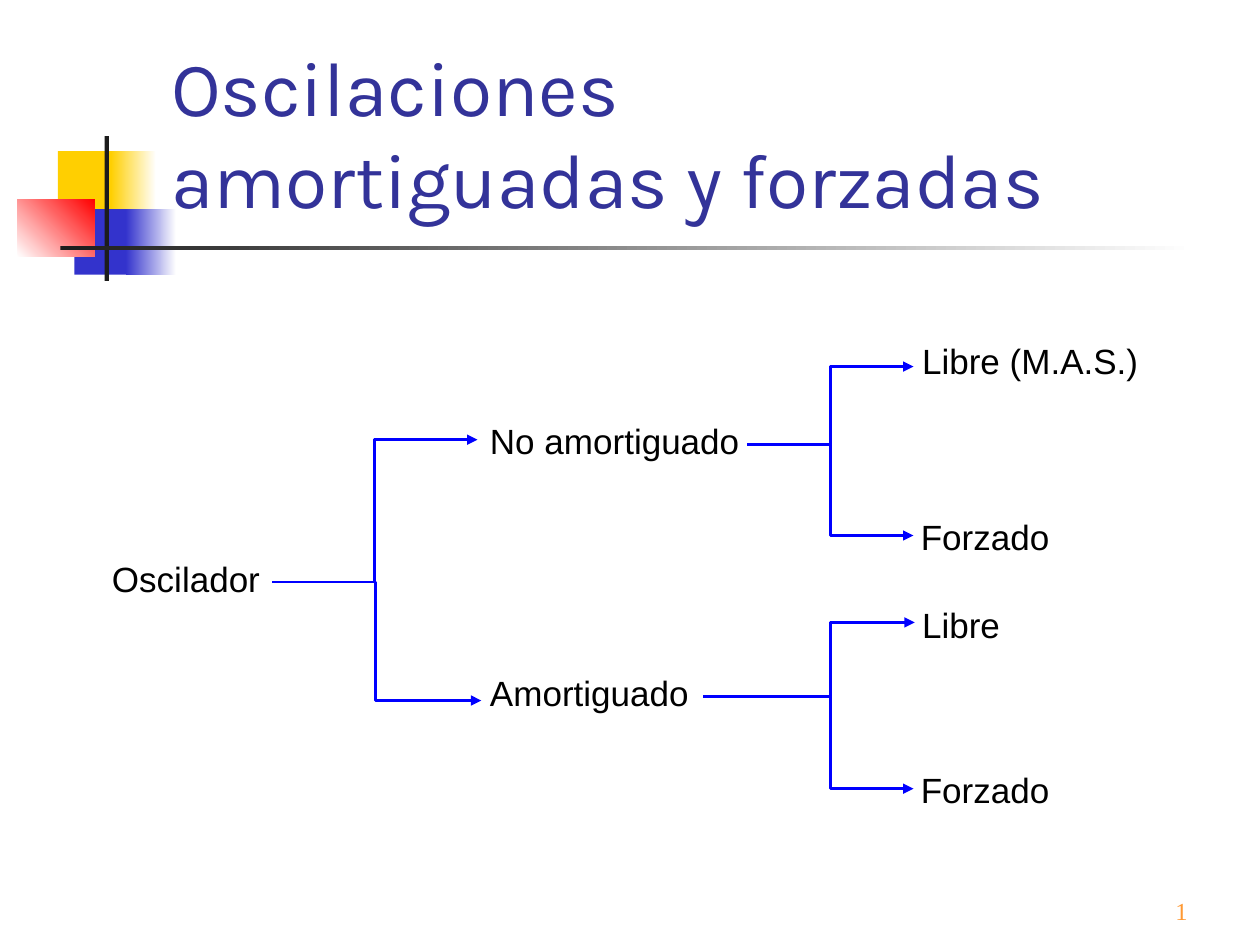
from dataclasses import dataclass
from typing import Optional

from lxml import etree
from pptx import Presentation
from pptx.dml.color import RGBColor
from pptx.enum.shapes import MSO_CONNECTOR, MSO_SHAPE
from pptx.enum.text import MSO_ANCHOR, MSO_AUTO_SIZE
from pptx.oxml.ns import qn
from pptx.util import Inches, Pt

RECTANGLE = MSO_SHAPE.RECTANGLE
ELBOW = MSO_CONNECTOR.ELBOW
BOTTOM = MSO_ANCHOR.BOTTOM
MIDDLE = MSO_ANCHOR.MIDDLE
TOP = MSO_ANCHOR.TOP
GROW = MSO_AUTO_SIZE.SHAPE_TO_FIT_TEXT
FIXED = MSO_AUTO_SIZE.NONE

COLUMNS, ROWS = 100, 75


@dataclass(frozen=True)
class TextStyle:
    font: str
    size: int
    color: str


@dataclass(frozen=True)
class Theme:
    title: TextStyle = TextStyle("Karla", 44, "333399")
    label: TextStyle = TextStyle("Arial", 20, "000000")
    page: TextStyle = TextStyle("Times New Roman", 14, "FF9933")
    yellow: str = "FFCF01"
    blue: str = "3333CC"
    red: str = "FF0000"
    ink: str = "1C1C1C"
    paper: str = "FFFFFF"
    branch: str = "0000FF"
    branch_width: float = 1.5


@dataclass(frozen=True)
class Area:
    col: float
    row: float
    cols: float
    rows: float


@dataclass(frozen=True)
class Block:
    area: Area
    color: str
    fade_to: Optional[str] = None
    angle: int = 0


@dataclass(frozen=True)
class Label:
    text: str
    area: Area


@dataclass(frozen=True)
class Branch:
    start: tuple[float, float]
    end: tuple[float, float]
    trunk: float


THEME = Theme()

ORNAMENT = [
    Block(Area(4.6, 12, 4.8, 5.2), THEME.yellow),
    Block(Area(8.8, 12, 3.6, 5.2), THEME.yellow, THEME.paper),
    Block(Area(5.9, 16.6, 4.6, 5.2), THEME.blue),
    Block(Area(10, 16.6, 4, 5.2), THEME.blue, THEME.paper),
    Block(Area(1.4, 15.8, 6.1, 4.6), THEME.paper, THEME.red, 45),
    Block(Area(8.3, 10.8, 0.35, 11.5), THEME.ink),
    Block(Area(4.8, 19.5, 90, 0.35), THEME.ink, THEME.paper),
]

LABELS = [
    Label("Oscilador", Area(7.9, 43.8, 13.8, 4.3)),
    Label("No amortiguado", Area(37.9, 32.8, 21.8, 4.3)),
    Label("Amortiguado", Area(37.9, 52.8, 17.8, 4.3)),
    Label("Libre (M.A.S.)", Area(72.2, 26.5, 19.3, 4.3)),
    Label("Forzado", Area(72.1, 40.4, 12.2, 4.3)),
    Label("Libre", Area(72.2, 47.4, 8.3, 4.3)),
    Label("Forzado", Area(72.1, 60.5, 12.2, 4.3)),
]

BRANCHES = [
    Branch((21.6, 46.2), (37.9, 34.9), 29.75),
    Branch((22.4, 46.2), (38.2, 55.6), 29.8),
    Branch((59.3, 35.3), (72.5, 29.1), 65.9),
    Branch((59.3, 35.3), (72.5, 42.5), 65.9),
    Branch((55.8, 55.3), (72.6, 49.4), 65.9),
    Branch((59.3, 55.3), (72.5, 62.6), 65.9),
]

presentation = Presentation()
presentation.slide_width = Inches(10)
presentation.slide_height = Inches(7.5)
slide = presentation.slides.add_slide(presentation.slide_layouts[6])


def across(cols: float) -> int:
    return round(presentation.slide_width * cols / COLUMNS)


def down(rows: float) -> int:
    return round(presentation.slide_height * rows / ROWS)


def place(area: Area) -> tuple[int, int, int, int]:
    return across(area.col), down(area.row), across(area.cols), down(area.rows)


def draw_block(block: Block) -> None:
    rectangle = slide.shapes.add_shape(RECTANGLE, *place(block.area))
    rectangle.shadow.inherit = False
    rectangle.line.fill.background()
    if block.fade_to is None:
        rectangle.fill.solid()
        rectangle.fill.fore_color.rgb = RGBColor.from_string(block.color)
        return
    rectangle.fill.gradient()
    rectangle.fill.gradient_angle = block.angle
    for stop, color in zip(rectangle.fill.gradient_stops, (block.color, block.fade_to)):
        stop.color.rgb = RGBColor.from_string(color)


def draw_text(label: Label, style: TextStyle, anchor: MSO_ANCHOR = TOP,
              wrap: bool = False) -> None:
    frame = slide.shapes.add_textbox(*place(label.area)).text_frame
    frame.word_wrap = wrap
    frame.auto_size = FIXED if wrap else GROW
    frame.vertical_anchor = anchor
    paragraph = frame.paragraphs[0]
    paragraph.text = label.text
    for run in paragraph.runs:
        run.font.name = style.font
        run.font.size = Pt(style.size)
        run.font.color.rgb = RGBColor.from_string(style.color)


def draw_branch(branch: Branch) -> None:
    (start_col, start_row), (end_col, end_row) = branch.start, branch.end
    connector = slide.shapes.add_connector(
        ELBOW, across(start_col), down(start_row), across(end_col), down(end_row))
    connector.line.color.rgb = RGBColor.from_string(THEME.branch)
    connector.line.width = Pt(THEME.branch_width)
    properties = connector._element.spPr
    bend = round(100000 * (branch.trunk - start_col) / (end_col - start_col))
    adjustments = properties.find(qn("a:prstGeom")).find(qn("a:avLst"))
    etree.SubElement(adjustments, qn("a:gd"), name="adj1", fmla=f"val {bend}")
    etree.SubElement(properties.find(qn("a:ln")), qn("a:tailEnd"), type="triangle")
    etree.SubElement(properties, qn("a:effectLst"))


def main() -> None:
    for block in ORNAMENT:
        draw_block(block)
    draw_text(Label("Oscilaciones\vamortiguadas y forzadas", Area(12.6, 2.3, 85.2, 16)),
              THEME.title, BOTTOM, wrap=True)
    for branch in BRANCHES:
        draw_branch(branch)
    for label in LABELS:
        draw_text(label, THEME.label, MIDDLE)
    draw_text(Label("1", Area(92.3, 70.6, 3, 3.3)), THEME.page)
    presentation.save("out.pptx")


if __name__ == "__main__":
    main()
